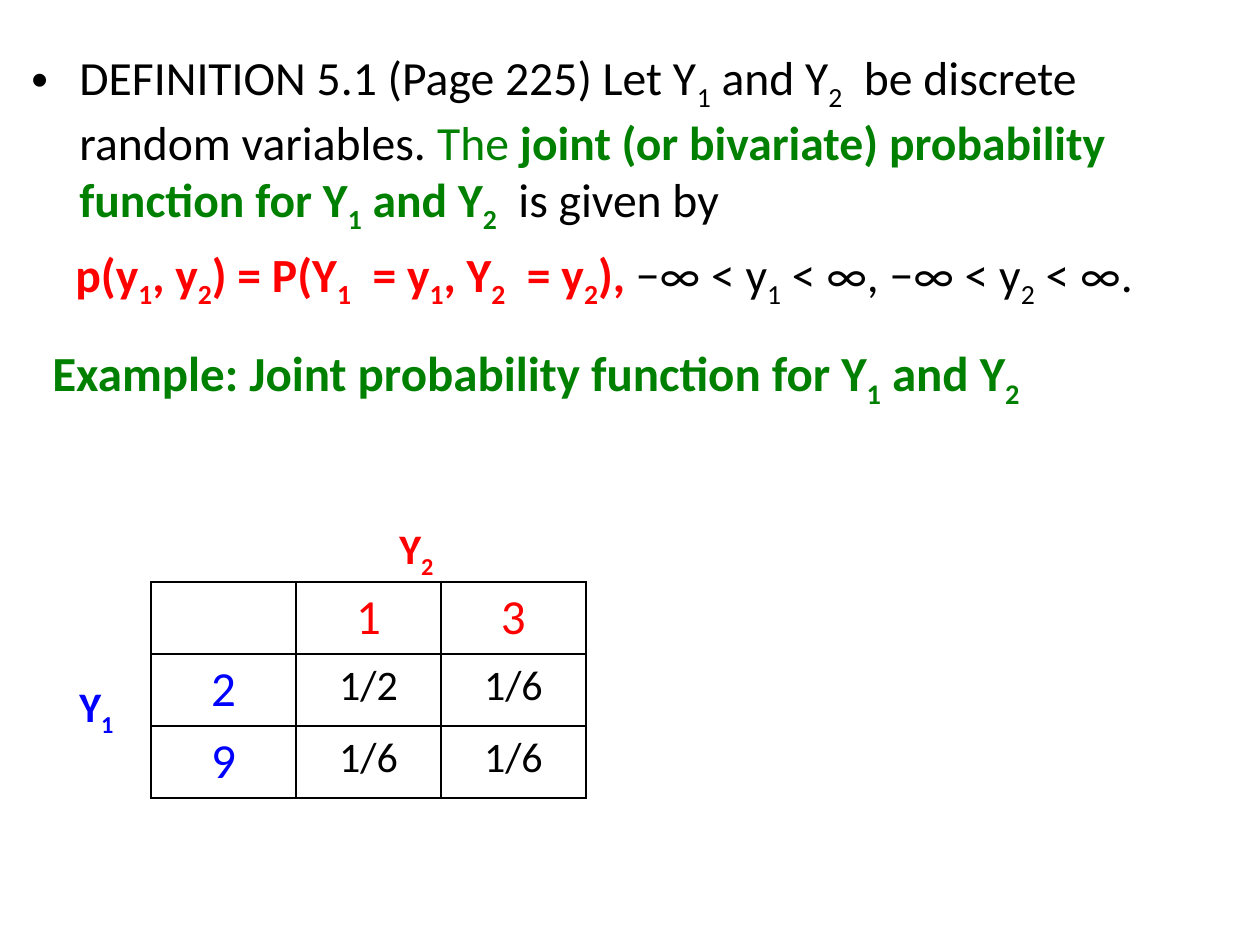
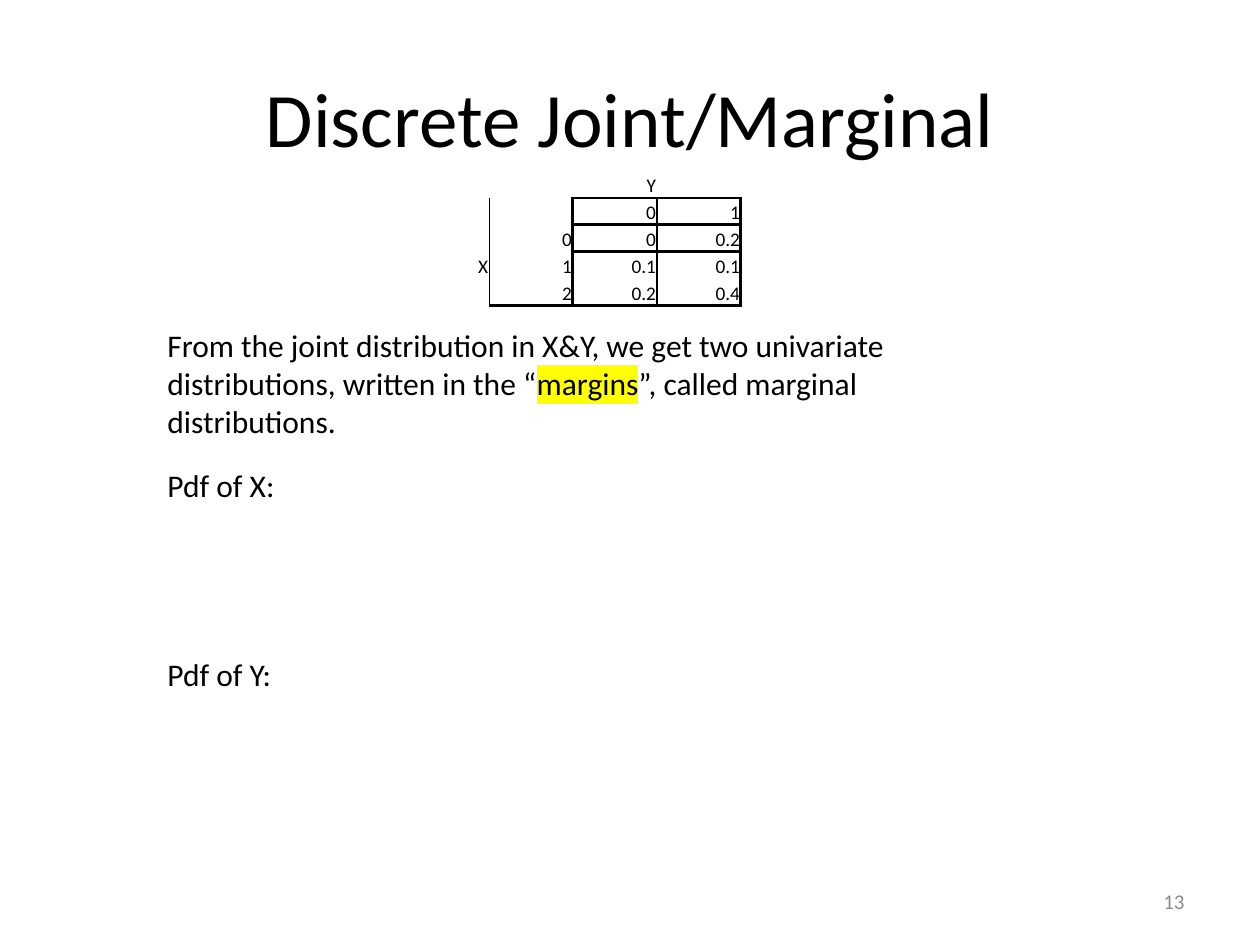
import dataclasses
from typing import NamedTuple, Optional

import lxml.etree
import pptx
import pptx.dml.color
import pptx.enum.text
import pptx.oxml.ns
import pptx.util

# Shared scale, colours and font
EMU_PER_PIXEL = 914400 // 126
COLORS = {
    "black": "000000",
    "green": "008000",
    "red": "FF0000",
    "blue": "0000FF",
    "grey": "8C8C8C",
    "yellow": "FFFF00",
}
FONT = "Calibri"
PLAIN_TABLE_STYLE = "{2D5ABB26-0587-4C30-8999-92F81FD0307C}"
ALIGN = pptx.enum.text.PP_ALIGN
ANCHOR = pptx.enum.text.MSO_ANCHOR
qn = pptx.oxml.ns.qn


class Area(NamedTuple):
    left: int
    top: int
    width: int
    height: int


class Span(NamedTuple):
    """Text of one style; the character after an underscore is a subscript."""
    text: str
    color: str = "black"
    bold: bool = False
    highlight: Optional[str] = None


@dataclasses.dataclass
class Para:
    spans: list[Span]
    size: float
    align: ALIGN = ALIGN.LEFT
    before: float = 0
    indent: int = 0
    bullet: bool = False


@dataclasses.dataclass
class Grid:
    """Rule widths are in points, keyed by edge number."""
    left: int
    top: int
    column_width: int
    row_height: int
    rows: list[list[Optional[Para]]]
    vertical_rules: dict[int, float]
    horizontal_rules: dict[int, tuple[int, float]]  # edge: first column, width
    first_ruled_row: int = 0
    anchor: ANCHOR = ANCHOR.TOP
    margins: Optional[tuple[int, int, int, int]] = None


def px(length: int) -> int:
    return pptx.util.Emu(length * EMU_PER_PIXEL)


def rgb(name: str) -> pptx.dml.color.RGBColor:
    return pptx.dml.color.RGBColor.from_string(COLORS[name])


def add_solid(parent, tag: str, color: str):
    """Append a DrawingML element that holds one colour."""
    element = lxml.etree.SubElement(parent, qn(tag))
    lxml.etree.SubElement(element, qn("a:srgbClr"), val=COLORS[color])
    return element


# Text
def add_run(paragraph, text: str, span: Span, size: float, subscript: bool) -> None:
    if not text:
        return
    run = paragraph.add_run()
    run.text = text
    run.font.name = FONT
    run.font.size = pptx.util.Pt(size)
    run.font.bold = span.bold
    run.font.color.rgb = rgb(span.color)
    properties = run.font._element
    if subscript:
        properties.set("baseline", "-25000")
    if span.highlight:
        mark = add_solid(properties, "a:highlight", span.highlight)
        properties.find(qn("a:solidFill")).addnext(mark)


def fill_paragraph(paragraph, para: Para) -> None:
    paragraph.alignment = para.align
    paragraph.space_before = pptx.util.Pt(para.before)
    if para.indent:
        properties = paragraph._p.get_or_add_pPr()
        properties.set("marL", str(px(para.indent)))
        properties.set("indent", str(-px(para.indent) if para.bullet else 0))
        if para.bullet:
            lxml.etree.SubElement(properties, qn("a:buFont"), typeface="Arial")
            lxml.etree.SubElement(properties, qn("a:buChar"), char="•")
    for span in para.spans:
        plain, *pieces = span.text.split("_")
        add_run(paragraph, plain, span, para.size, False)
        for piece in pieces:
            add_run(paragraph, piece[0], span, para.size, True)
            add_run(paragraph, piece[1:], span, para.size, False)
    if not para.spans:
        lxml.etree.SubElement(paragraph._p, qn("a:endParaRPr"),
                              sz=str(int(para.size * 100)))


def draw_text(page, area: Area, paras: list[Para], anchor: ANCHOR = ANCHOR.TOP,
              wrap: bool = True, top_margin: int = 6) -> None:
    box = page.shapes.add_textbox(*map(px, area))
    frame = box.text_frame
    frame.word_wrap = wrap
    frame.vertical_anchor = anchor
    frame.margin_top = px(top_margin)
    for index, para in enumerate(paras):
        paragraph = frame.add_paragraph() if index else frame.paragraphs[0]
        fill_paragraph(paragraph, para)


# Tables
def set_borders(cell, widths: dict[str, Optional[float]]) -> None:
    properties = cell._tc.get_or_add_tcPr()
    for side, width in widths.items():
        if width:
            line = lxml.etree.SubElement(properties, qn(f"a:ln{side}"),
                                         w=str(pptx.util.Pt(width)))
            add_solid(line, "a:solidFill", "black")


def draw_grid(page, grid: Grid) -> None:
    row_count, column_count = len(grid.rows), len(grid.rows[0])
    frame = page.shapes.add_table(
        row_count, column_count, px(grid.left), px(grid.top),
        px(grid.column_width * column_count), px(grid.row_height * row_count))
    table = frame.table
    table.first_row = table.horz_banding = False
    table._tbl.tblPr.find(qn("a:tableStyleId")).text = PLAIN_TABLE_STYLE
    for column in table.columns:
        column.width = px(grid.column_width)
    for row in table.rows:
        row.height = px(grid.row_height)

    def vertical(edge: int, row: int) -> Optional[float]:
        return grid.vertical_rules.get(edge) if row >= grid.first_ruled_row else None

    def horizontal(edge: int, column: int) -> Optional[float]:
        first, width = grid.horizontal_rules.get(edge, (0, None))
        return width if column >= first else None

    for r, row in enumerate(grid.rows):
        for c, para in enumerate(row):
            cell = table.cell(r, c)
            cell.vertical_anchor = grid.anchor
            if grid.margins:
                (cell.margin_left, cell.margin_top,
                 cell.margin_right, cell.margin_bottom) = map(px, grid.margins)
            set_borders(cell, {"L": vertical(c, r), "R": vertical(c + 1, r),
                               "T": horizontal(r, c), "B": horizontal(r + 1, c)})
            cell.fill.background()
            if para:
                fill_paragraph(cell.text_frame.paragraphs[0], para)


def number(text: str, size: float, color: str = "black") -> Para:
    return Para([Span(text, color)], size, ALIGN.CENTER)


def small(text: str) -> Para:
    return Para([Span(text)] if text else [], 11, ALIGN.RIGHT)


deck = pptx.Presentation()
deck.slide_width, deck.slide_height = px(1260), px(945)
blank = deck.slide_layouts[6]

# Slide 1: definition, example and its joint table
page = deck.slides.add_slide(blank)
draw_text(page, Area(19, 42, 1221, 213), [
    Para([
        Span("DEFINITION 5.1 (Page 225) Let Y_1 and Y_2  be discrete random variables. "),
        Span("The ", "green"),
        Span("joint (or bivariate) probability function for Y_1 and Y_2  ", "green", True),
        Span("is given by"),
    ], 27.2, before=5.4, indent=48, bullet=True),
    Para([
        Span("p(y_1, y_2) = P(Y_1  = y_1, Y_2  = y_2), ", "red", True),
        Span("−∞ < y_1 < ∞, −∞ < y_2 < ∞."),
    ], 27.2, before=5.4, indent=44),
])
draw_text(page, Area(40, 341, 1134, 126), [
    Para([Span("Example: Joint probability function for Y_1 and Y_2", "green", True)], 28),
], top_margin=2)
draw_grid(page, Grid(
    left=151, top=582, column_width=145, row_height=72,
    rows=[
        [None, number("1", 28, "red"), number("3", 28, "red")],
        [number("2", 28, "blue"), number("1/2", 24), number("1/6", 24)],
        [number("9", 28, "blue"), number("1/6", 24), number("1/6", 24)],
    ],
    vertical_rules={edge: 1 for edge in range(4)},
    horizontal_rules={edge: (0, 1) for edge in range(4)},
))
for label, color, left, top in (("Y_1", "blue", 67, 675), ("Y_2", "red", 387, 517)):
    draw_text(page, Area(left, top, 62, 63),
              [Para([Span(label, color, True)], 24)], wrap=False)

# Slide 2: joint table and marginal distributions
page = deck.slides.add_slide(blank)
draw_text(page, Area(63, 38, 1134, 158),
          [Para([Span("Discrete Joint/Marginal")], 44, ALIGN.CENTER)], ANCHOR.MIDDLE)
draw_text(page, Area(903, 876, 294, 50),
          [Para([Span("13", "grey")], 12, ALIGN.RIGHT)], ANCHOR.MIDDLE)
draw_text(page, Area(155, 460, 850, 242), [
    Para([Span("Pdf of X:")], 18),
    Para([Span("Pdf of Y:")], 18, before=86.4),
])
draw_text(page, Area(155, 320, 838, 127), [Para([
    Span("From the joint distribution in X&Y, we get two univariate "
         "distributions, written in the “"),
    Span("margins", highlight="yellow"),
    Span("”, called marginal distributions."),
], 18)])
joint_values = [
    ["", "", "Y", ""],
    ["", "", "0", "1"],
    ["", "0", "0", "0.2"],
    ["X", "1", "0.1", "0.1"],
    ["", "2", "0.2", "0.4"],
]
draw_grid(page, Grid(
    left=405, top=171, column_width=84, row_height=27,
    rows=[[small(value) for value in row] for row in joint_values],
    vertical_rules={1: 0.5, 2: 2, 3: 1, 4: 2},
    horizontal_rules={1: (2, 1), 2: (2, 2), 5: (1, 2)},
    first_ruled_row=1, anchor=ANCHOR.BOTTOM, margins=(1, 1, 1, 0),
))

deck.save("out.pptx")
